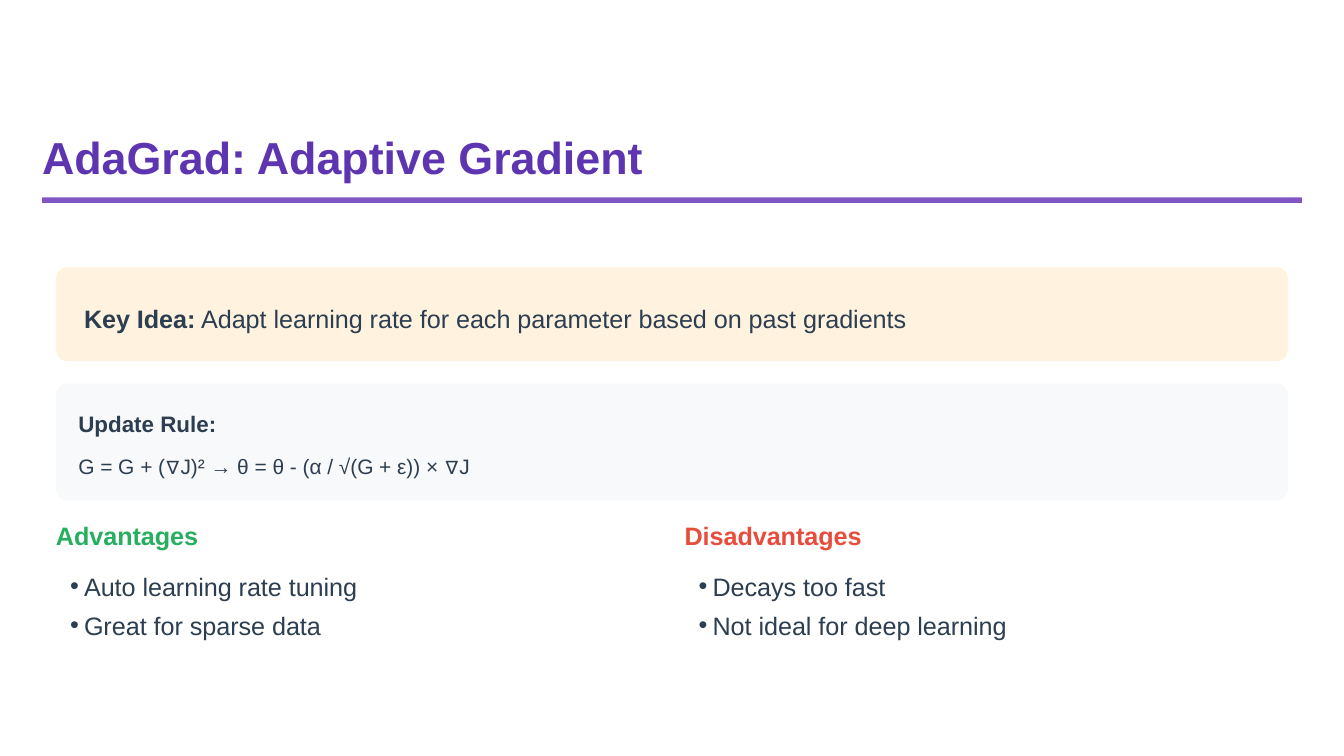
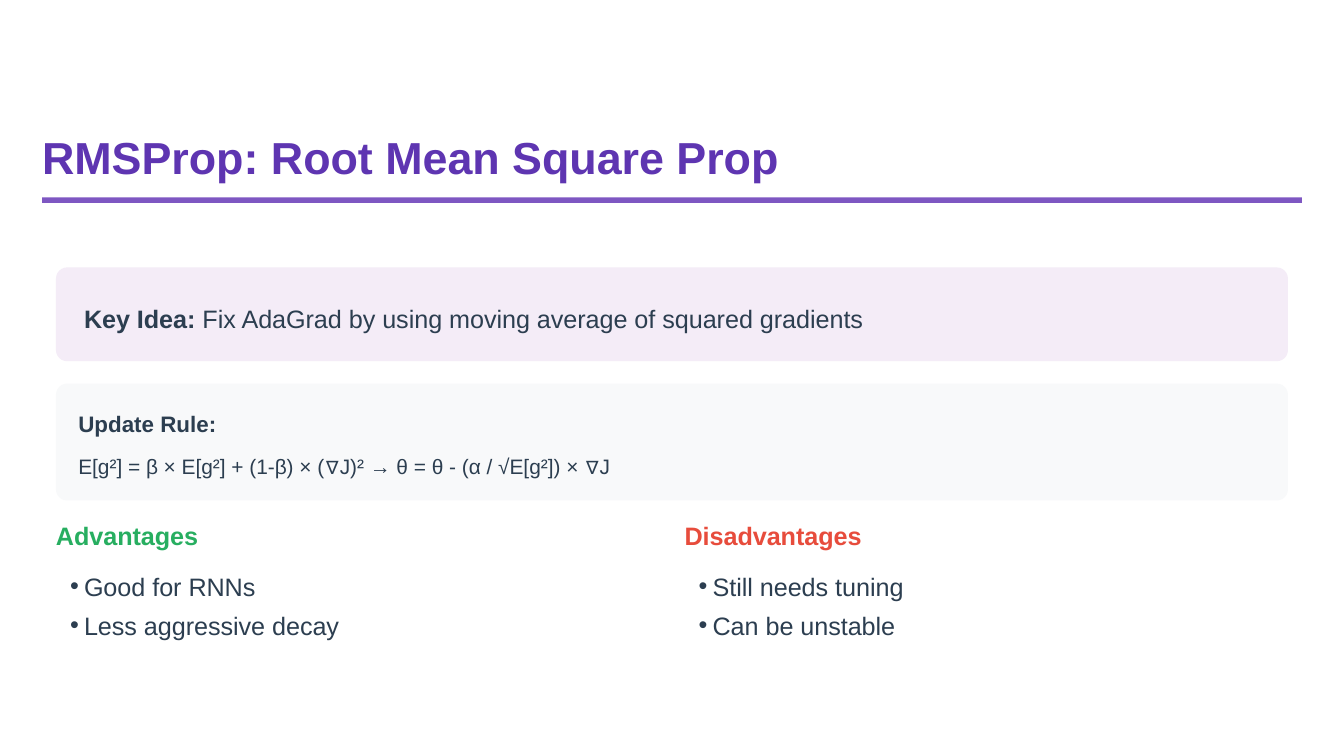
import pptx
import pptx.dml.color
import pptx.enum.shapes
import pptx.enum.text
import pptx.oxml
import pptx.oxml.ns
import pptx.util

COLORS = {
    "title": "5E35B1",
    "rule": "7E57C2",
    "ink": "2C3E50",
    "amber": "FFF3E0",
    "lilac": "F4ECF7",
    "formula": "F8F9FA",
    "pro": "27AE60",
    "con": "E74C3C",
}
FONT = "Arial"
COLUMNS, ROWS = 96, 54
CORNER = 0.8  # rows
MARGIN, PANEL_WIDTH = 4, 88
COLUMN_STEP, LIST_WIDTH = 44.9, 43.1
COMPARISON_LAYOUT = 4

OPTIMIZERS = [
    {
        "title": "AdaGrad: Adaptive Gradient",
        "title_width": 46,
        "tint": "amber",
        "idea": "Adapt learning rate for each parameter based on past gradients",
        "rule": "G = G + (∇J)² → θ = θ - (α / √(G + ε)) × ∇J",
        "pros": ["Auto learning rate tuning", "Great for sparse data"],
        "cons": ["Decays too fast", "Not ideal for deep learning"],
    },
    {
        "title": "RMSProp: Root Mean Square Prop",
        "title_width": 53.8,
        "tint": "lilac",
        "idea": "Fix AdaGrad by using moving average of squared gradients",
        "rule": "E[g²] = β × E[g²] + (1-β) × (∇J)² → θ = θ - (α / √E[g²]) × ∇J",
        "pros": ["Good for RNNs", "Less aggressive decay"],
        "cons": ["Still needs tuning", "Can be unstable"],
    },
]


def rgb(name):
    return pptx.dml.color.RGBColor.from_string(COLORS[name])


def write(frame, paragraphs, size=13.5, color="ink", bold=False, lead="",
          spacing=15, inset=0, bullet_indent=None):
    """Fill a frame with paragraphs; lead is a bold opening of the first one."""
    frame.word_wrap = True
    frame.auto_size = pptx.enum.text.MSO_AUTO_SIZE.NONE
    frame.vertical_anchor = pptx.enum.text.MSO_ANCHOR.TOP
    frame.margin_left = inset
    frame.margin_top = frame.margin_right = frame.margin_bottom = 0
    for index, text in enumerate(paragraphs):
        paragraph = frame.add_paragraph() if index else frame.paragraphs[0]
        paragraph.alignment = pptx.enum.text.PP_ALIGN.LEFT
        paragraph.line_spacing = pptx.util.Pt(spacing)
        paragraph.space_before = paragraph.space_after = pptx.util.Pt(0)
        if bullet_indent:
            add_bullet(paragraph, bullet_indent)
        parts = [(text, bold)]
        if lead and index == 0:
            parts.insert(0, (lead, True))
        for words, is_bold in parts:
            run = paragraph.add_run()
            run.text = words
            run.font.name = FONT
            run.font.size = pptx.util.Pt(size)
            run.font.bold = is_bold
            run.font.color.rgb = rgb(color)


def add_bullet(paragraph, indent):
    properties = paragraph._p.get_or_add_pPr()
    properties.set("marL", str(indent))
    properties.set("indent", str(-indent))
    bullet = pptx.oxml.parse_xml(
        f'<a:buChar {pptx.oxml.ns.nsdecls("a")} char="•"/>')
    properties.append(bullet)


class Deck:
    """Style and current slide; all lengths are in grid columns and rows."""

    def __init__(self):
        self.presentation = pptx.Presentation()
        self.presentation.slide_width = pptx.util.Inches(10)
        self.presentation.slide_height = pptx.util.Inches(5.625)
        self.slide = None

    def x(self, columns):
        return round(self.presentation.slide_width * columns / COLUMNS)

    def y(self, rows):
        return round(self.presentation.slide_height * rows / ROWS)

    def box(self, left, top, width, height):
        return self.x(left), self.y(top), self.x(width), self.y(height)

    def new_slide(self):
        layout = self.presentation.slide_layouts[COMPARISON_LAYOUT]
        self.slide = self.presentation.slides.add_slide(layout)

    def placeholder(self, number, area, paragraphs, **text_format):
        holder = self.slide.placeholders[number]
        holder.left, holder.top, holder.width, holder.height = self.box(*area)
        write(holder.text_frame, paragraphs, **text_format)

    def title(self, text, width):
        self.placeholder(0, (3, 9.9, width, 3.2), [text], size=24,
                         color="title", bold=True, spacing=24)
        self.block((3, 14.1, 90, 0.4), "rule")

    def block(self, area, fill, rounded=False):
        kinds = pptx.enum.shapes.MSO_SHAPE
        kind = kinds.ROUNDED_RECTANGLE if rounded else kinds.RECTANGLE
        shape = self.slide.shapes.add_shape(kind, *self.box(*area))
        if rounded:
            shape.adjustments[0] = CORNER / area[3]
        shape.shadow.inherit = False
        shape.fill.solid()
        shape.fill.fore_color.rgb = rgb(fill)
        shape.line.fill.background()

    def panel(self, top, height, fill):
        self.block((MARGIN, top, PANEL_WIDTH, height), fill, rounded=True)

    def text(self, area, words, **text_format):
        textbox = self.slide.shapes.add_textbox(*self.box(*area))
        write(textbox.text_frame, [words], **text_format)

    def comparison(self, column, heading, color, points):
        left = MARGIN + column * COLUMN_STEP
        first = 1 + 2 * column
        self.placeholder(first, (left, 37.35, 22, 2), [heading],
                         color=color, bold=True)
        self.placeholder(first + 1, (left, 40.15, LIST_WIDTH, 5.95), points,
                         spacing=21, inset=self.x(1), bullet_indent=self.x(1))


def main():
    deck = Deck()
    for optimizer in OPTIMIZERS:
        deck.new_slide()
        deck.title(optimizer["title"], optimizer["title_width"])
        deck.panel(19.1, 6.7, optimizer["tint"])
        deck.text((6, 21.1, 85.7, 2.7), " " + optimizer["idea"],
                  lead="Key Idea:", spacing=20.2)
        deck.panel(27.4, 8.35, "formula")
        deck.text((5.6, 29, 86.5, 2.2), "Update Rule:", size=12, bold=True,
                  spacing=16.8)
        deck.text((5.6, 32.1, 86.5, 2.1), optimizer["rule"], size=11.2,
                  spacing=15.8)
        deck.comparison(0, "Advantages", "pro", optimizer["pros"])
        deck.comparison(1, "Disadvantages", "con", optimizer["cons"])
    deck.presentation.save("out.pptx")


if __name__ == "__main__":
    main()
